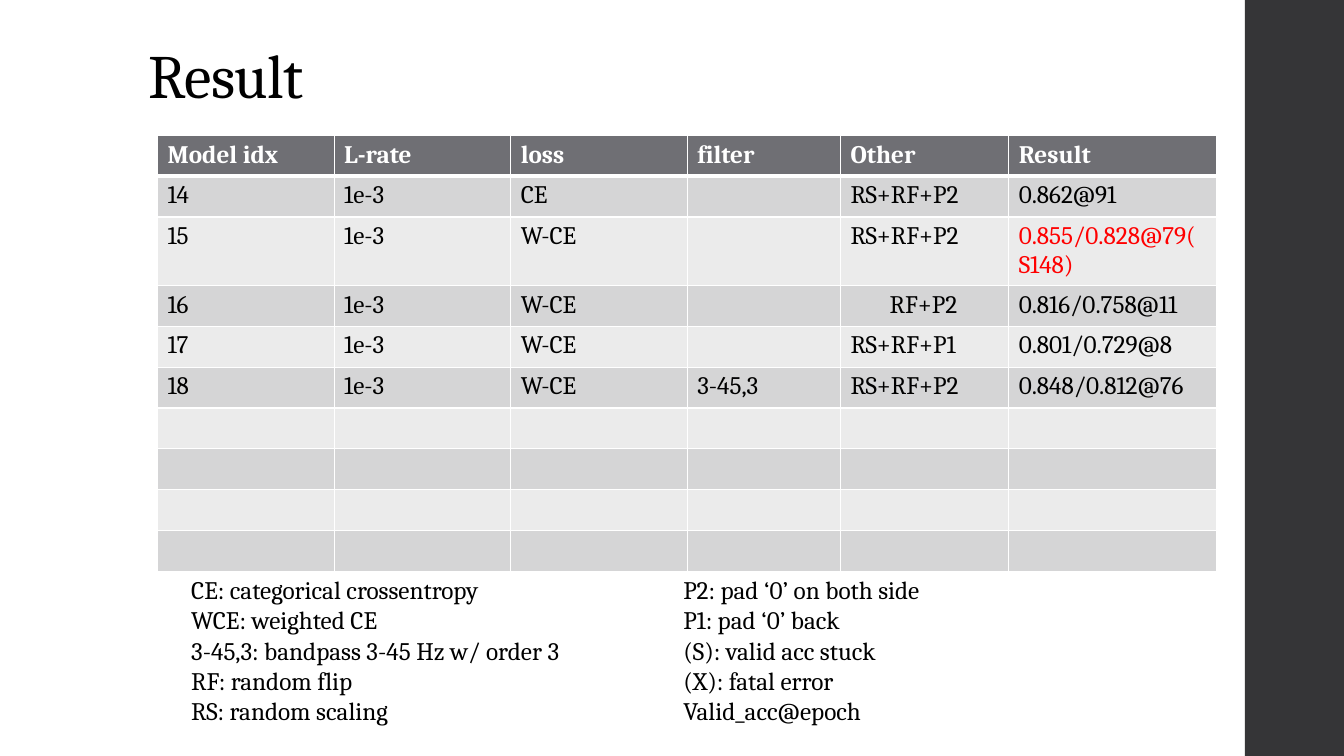
from lxml.etree import SubElement
from pptx import Presentation
from pptx.dml.color import RGBColor
from pptx.enum.shapes import MSO_SHAPE
from pptx.enum.text import MSO_ANCHOR, PP_ALIGN
from pptx.oxml import parse_xml
from pptx.oxml.ns import nsdecls
from pptx.util import Cm, Pt

BLACK = RGBColor(0x00, 0x00, 0x00)
WHITE = RGBColor(0xFF, 0xFF, 0xFF)
RED = RGBColor(0xFF, 0x00, 0x00)
DARK = RGBColor(0x35, 0x35, 0x37)
HEAD = RGBColor(0x6F, 0x6F, 0x74)
BANDS = [RGBColor(0xEB, 0xEB, 0xEB), RGBColor(0xD5, 0xD5, 0xD6)]
FONT = "Cambria"

WIDTHS = [4.45, 4.45, 4.45, 3.86, 4.24, 5.23]
ROW = 1.03
ROWS = [
    ["Model idx", "L-rate", "loss", "filter", "Other", "Result"],
    ["14", "1e-3", "CE", "", "RS+RF+P2", "0.862@91"],
    ["15", "1e-3", "W-CE", "", "RS+RF+P2", "0.855/0.828@79(S148)"],
    ["16", "1e-3", "W-CE", "", "RF+P2", "0.816/0.758@11"],
    ["17", "1e-3", "W-CE", "", "RS+RF+P1", "0.801/0.729@8"],
    ["18", "1e-3", "W-CE", "3-45,3", "RS+RF+P2", "0.848/0.812@76"],
] + [[""] * 6] * 4
STUCK = (2, 5)
INDENT = (3, 4)

TERMS = [
    "CE: categorical crossentropy",
    "WCE: weighted CE",
    "3-45,3: bandpass 3-45 Hz w/ order 3",
    "RF: random flip",
    "RS: random scaling",
]
MARKS = [
    "P2: pad ‘0’ on both side",
    "P1: pad ‘0’ back",
    "(S): valid acc stuck",
    "(X): fatal error",
    "Valid_acc@epoch",
]


def style(frame, size=18, color=BLACK, bold=False):
    for para in frame.paragraphs:
        para.alignment = PP_ALIGN.LEFT
        for run in para.runs:
            run.font.name = FONT
            run.font.size = Pt(size)
            run.font.bold = bold
            run.font.color.rgb = color


def add_bar(slide, x, y, w, h):
    bar = slide.shapes.add_shape(MSO_SHAPE.RECTANGLE, Cm(x), Cm(y), Cm(w), Cm(h))
    bar.shadow.inherit = False
    bar.fill.solid()
    bar.fill.fore_color.rgb = DARK
    bar.line.fill.background()


def add_title(slide, x, y, w, h):
    title = slide.shapes.title
    title.left, title.top, title.width, title.height = Cm(x), Cm(y), Cm(w), Cm(h)
    frame = title.text_frame
    frame.text = "Result"
    frame.vertical_anchor = MSO_ANCHOR.TOP
    style(frame, 44)
    para = frame.paragraphs[0]
    para.line_spacing = 0.9
    # Tighten the letters by half a point
    para.runs[0].font._element.set("spc", "-50")


def add_edges(cell, top, bottom):
    props = cell._tc.get_or_add_tcPr()
    sides = [("lnL", 1), ("lnR", 1), ("lnT", top), ("lnB", bottom)]
    for i, (side, width) in enumerate(sides):
        edge = parse_xml(f'<a:{side} {nsdecls("a")} w="{Pt(width)}"/>')
        fill = SubElement(edge, "{%s}solidFill" % edge.nsmap["a"])
        SubElement(fill, "{%s}srgbClr" % edge.nsmap["a"], val=str(WHITE))
        props.insert(i, edge)


def add_grid(slide, x, y):
    frame = slide.shapes.add_table(len(ROWS), len(WIDTHS), Cm(x), Cm(y),
                                   Cm(sum(WIDTHS)), Cm(ROW * len(ROWS)))
    table = frame.table
    for col, width in zip(table.columns, WIDTHS):
        col.width = Cm(width)
    for r, row in enumerate(ROWS):
        table.rows[r].height = Cm(ROW)
        for c, text in enumerate(row):
            cell = table.cell(r, c)
            cell.text = text
            cell.fill.solid()
            cell.fill.fore_color.rgb = BANDS[r % 2] if r else HEAD
            if (r, c) == INDENT:
                cell.margin_left = Cm(1.24)
            color = RED if (r, c) == STUCK else BLACK
            style(cell.text_frame, color=color if r else WHITE, bold=r == 0)
            # A thick rule parts the header from the body
            add_edges(cell, 3 if r == 1 else 1, 3 if r == 0 else 1)


def add_notes(slide, lines, x, y, w, h):
    box = slide.shapes.add_textbox(Cm(x), Cm(y), Cm(w), Cm(h))
    frame = box.text_frame
    frame.word_wrap = True
    frame.text = "\n".join(lines)
    style(frame)


def main():
    deck = Presentation()
    deck.slide_width, deck.slide_height = Cm(33.87), Cm(19.05)
    slide = deck.slides.add_slide(deck.slide_layouts[5])
    # Side bar and heading
    add_bar(slide, 31.37, 0, 2.5, 19.05)
    add_title(slide, 3.5, 1.02, 26.92, 3.68)
    # Result table
    add_grid(slide, 3.97, 3.41)
    # Legend in two columns
    add_notes(slide, TERMS, 4.57, 14.35, 11.1, 4.11)
    add_notes(slide, MARKS, 16.97, 14.35, 7.29, 4.11)
    deck.save("out.pptx")


if __name__ == "__main__":
    main()
